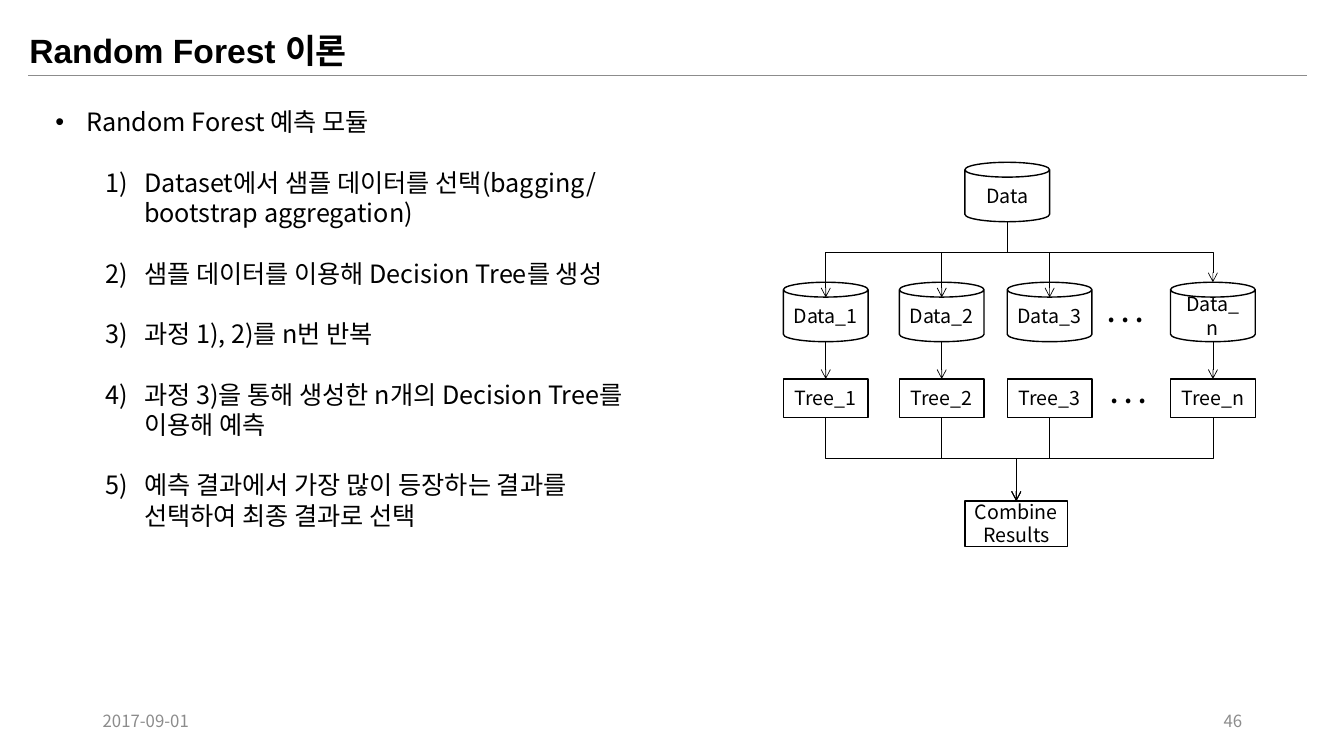
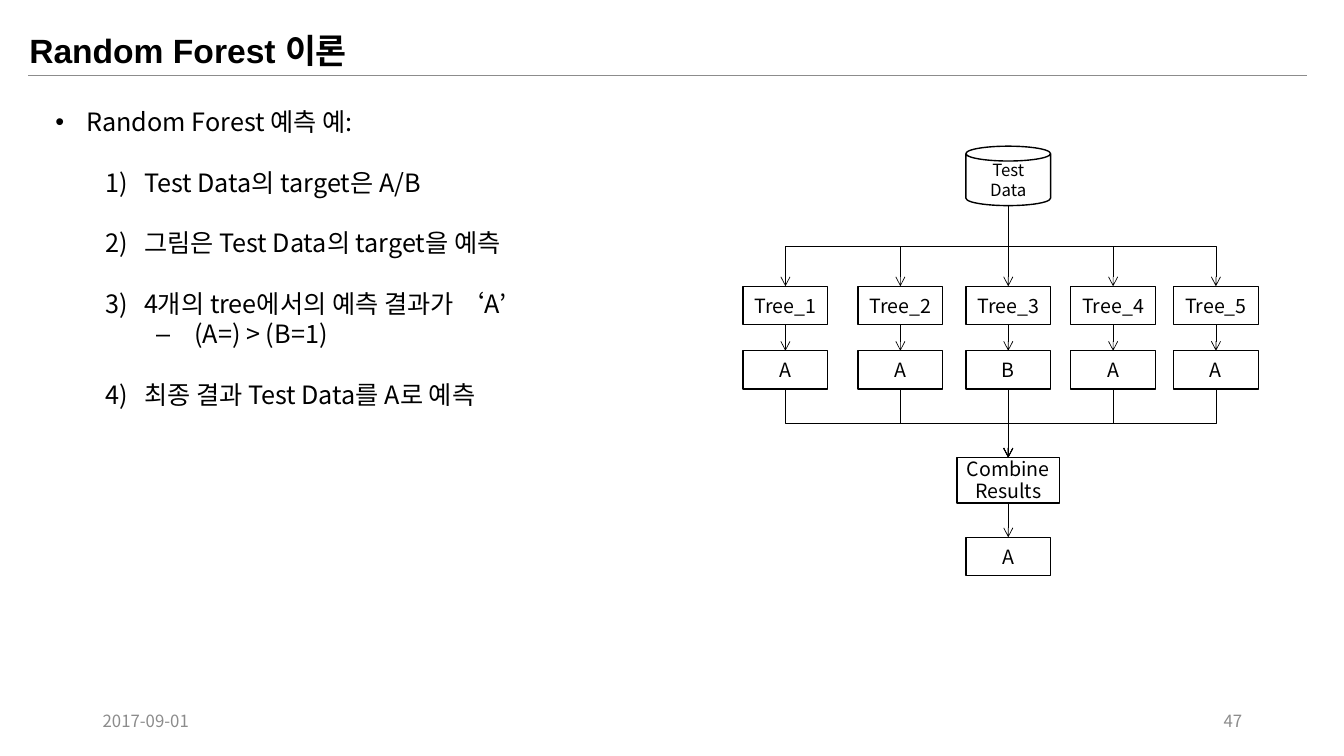
from lxml import etree
from pptx import Presentation
from pptx import util as u
from pptx.dml.color import RGBColor
from pptx.enum import shapes, text
from pptx.oxml.ns import qn

SCALE = 9144
BODY_FONT = "Noto Sans CJK KR"
TITLE_FONT = "Arial"
BLACK = "000000"
GRAY = "8C8C8C"
LINE_RATIO, TIGHT_RATIO = 1.2, 1.15
NODE_WIDTH, CAN_HEIGHT, BOX_HEIGHT = 84, 59, 38
COMBINE_WIDTH, COMBINE_HEIGHT = 102, 45


def px(length):
    return u.Emu(round(length * SCALE))


def colour(value):
    return RGBColor.from_string(value)


def child(parent, tag, **attributes):
    return etree.SubElement(parent, qn(tag), attributes)


class Deck:
    bullets = {
        0: (31, -31, "a:buChar", {"char": "•"}),
        1: (88, -38, "a:buAutoNum", {"type": "arabicParenR"}),
        2: (138, -38, "a:buChar", {"char": "–"}),
    }

    def __init__(self):
        self.presentation = Presentation()
        self.presentation.slide_width = px(1333)
        self.presentation.slide_height = px(750)
        self.slide = None

    def start(self, heading, number):
        layout = self.presentation.slide_layouts[5]
        self.slide = self.presentation.slides.add_slide(layout)
        title = self.slide.shapes.title
        title.left, title.top, title.width, title.height = map(px, (19, 25, 1300, 50))
        frame = title.text_frame
        frame.text = heading
        frame.auto_size = text.MSO_AUTO_SIZE.NONE
        frame.vertical_anchor = text.MSO_ANCHOR.TOP
        self.style(frame, 24, font=TITLE_FONT, bold=True)
        self.line((28, 75), (1296, 75), GRAY, arrow=False)
        self.footer(92, "2017-09-01", text.PP_ALIGN.LEFT)
        self.footer(942, number, text.PP_ALIGN.RIGHT)

    def style(self, frame, size, font=BODY_FONT, ink=BLACK, bold=False,
              align=text.PP_ALIGN.LEFT, ratio=LINE_RATIO):
        for paragraph in frame.paragraphs:
            paragraph.alignment = align
            paragraph.line_spacing = u.Pt(round(size * ratio, 1))
            for run in paragraph.runs:
                run.font.name = font
                run.font.size = u.Pt(size)
                run.font.bold = bold
                run.font.color.rgb = colour(ink)
                child(run._r.get_or_add_rPr(), "a:ea", typeface=BODY_FONT)

    def label(self, left, top, width, height, words, wrap=True):
        box = self.slide.shapes.add_textbox(px(left), px(top), px(width), px(height))
        box.text_frame.text = words
        box.text_frame.word_wrap = wrap
        return box.text_frame

    def footer(self, left, words, align):
        frame = self.label(left, 695, 300, 40, words)
        frame.vertical_anchor = text.MSO_ANCHOR.MIDDLE
        self.style(frame, 12, ink=GRAY, align=align)

    def ellipsis(self, left, top):
        self.style(self.label(left, top, 58, 40, ". . .", wrap=False), 18, bold=True)

    def outline(self, height, entries):
        frame = self.label(45, 101, 585, height, "\n".join(words for _, words in entries))
        self.style(frame, 18)
        for paragraph, (level, _) in zip(frame.paragraphs, entries):
            margin, indent, tag, mark = self.bullets[level]
            paragraph.level = level
            paragraph.space_before = u.Pt(21.6 if level == 1 else 0)
            properties = paragraph._p.get_or_add_pPr()
            properties.set("marL", str(px(margin)))
            properties.set("indent", str(px(indent)))
            if tag == "a:buChar":
                child(properties, "a:buFont", typeface=TITLE_FONT)
            child(properties, tag, **mark)

    def node(self, preset, left, top, width, height, words, size=14, ratio=LINE_RATIO):
        shape = self.slide.shapes.add_shape(
            preset, px(left), px(top), px(width), px(height))
        shape.shadow.inherit = False
        shape.fill.background()
        shape.line.color.rgb = colour(BLACK)
        shape.line.width = u.Pt(1)
        frame = shape.text_frame
        frame.text = words
        frame.word_wrap = True
        frame.vertical_anchor = text.MSO_ANCHOR.MIDDLE
        self.style(frame, size, align=text.PP_ALIGN.CENTER, ratio=ratio)
        return frame

    def can(self, left, top, words, size=14):
        self.node(shapes.MSO_SHAPE.CAN, left, top, NODE_WIDTH, CAN_HEIGHT, words, size)

    def box(self, left, top, words):
        self.node(shapes.MSO_SHAPE.RECTANGLE, left, top, NODE_WIDTH, BOX_HEIGHT, words)

    def combine(self, left, top):
        frame = self.node(shapes.MSO_SHAPE.RECTANGLE, left, top, COMBINE_WIDTH,
                          COMBINE_HEIGHT, "Combine\nResults", ratio=TIGHT_RATIO)
        frame.margin_left = frame.margin_right = px(2)
        frame.margin_top = frame.margin_bottom = 0

    def line(self, start, end, ink=BLACK, arrow=True, kind=shapes.MSO_CONNECTOR.STRAIGHT):
        connector = self.slide.shapes.add_connector(kind, *map(px, start + end))
        connector.line.color.rgb = colour(ink)
        connector.line.width = u.Pt(0.5)
        if arrow:
            child(connector.line._get_or_add_ln(), "a:tailEnd", type="arrow")
        child(connector._element.spPr, "a:effectLst")
        return connector

    def elbow(self, start, end, turn):
        (x1, y1), (x2, y2) = start, end
        if x1 == x2:
            self.line(start, end)
            return
        middle_x, middle_y = (x1 + x2) / 2, (y1 + y2) / 2
        rightward = x2 > x1
        half_drop = (y2 - y1) / 2 * (-1 if rightward else 1)
        half_run = abs(x2 - x1) / 2
        connector = self.line((middle_x - half_drop, middle_y - half_run),
                              (middle_x + half_drop, middle_y + half_run),
                              kind=shapes.MSO_CONNECTOR.ELBOW)
        properties = connector._element.spPr
        properties.xfrm.set("rot", str((270 if rightward else 90) * 60000))
        share = round((turn - y1) / (y2 - y1) * 100000)
        guides = properties.find(qn("a:prstGeom")).find(qn("a:avLst"))
        child(guides, "a:gd", name="adj1", fmla=f"val {share}")


def center(left):
    return left + NODE_WIDTH // 2


def theory(deck):
    deck.start("Random Forest 이론", "46")
    deck.outline(495, [
        (0, "Random Forest 예측 모듈"),
        (1, "Dataset에서 샘플 데이터를 선택(bagging/\vbootstrap aggregation)"),
        (1, "샘플 데이터를 이용해 Decision Tree를 생성"),
        (1, "과정 1), 2)를 n번 반복"),
        (1, "과정 3)을 통해 생성한 n개의 Decision Tree를 이용해 예측"),
        (1, "예측 결과에서 가장 많이 등장하는 결과를 선택하여 최종 결과로 선택"),
    ])
    source, sample_top, tree_top, combine_top = 957, 280, 376, 497
    deck.can(source, 161, "Data")
    deck.combine(source, combine_top)
    for left, suffix in ((777, "1"), (892, "2"), (999, "3"), (1161, "n")):
        x = center(left)
        deck.can(left, sample_top, f"Data_{suffix}")
        deck.box(left, tree_top, f"Tree_{suffix}")
        entry = sample_top if suffix == "n" else sample_top + 15
        deck.elbow((center(source), 161 + CAN_HEIGHT), (x, entry), 250)
        if suffix != "3":
            deck.line((x, sample_top + CAN_HEIGHT), (x, tree_top))
        deck.elbow((x, tree_top + BOX_HEIGHT),
                   (source + COMBINE_WIDTH // 2, combine_top), 455)
    deck.ellipsis(1089, 290)
    deck.ellipsis(1092, 370)


def example(deck):
    deck.start("Random Forest 이론", "47")
    deck.outline(313, [
        (0, "Random Forest 예측 예:"),
        (1, "Test Data의 target은 A/B"),
        (1, "그림은 Test Data의 target을 예측"),
        (1, "4개의 tree에서의 예측 결과가 ‘A’"),
        (2, "(A=) > (B=1)"),
        (1, "최종 결과 Test Data를 A로 예측"),
    ])
    source, source_top, tree_top, vote_top = 958, 145, 284, 348
    combine_top, result_top = 454, 533
    hub = center(source)
    deck.can(source, source_top, "Test\nData", size=12)
    deck.combine(hub - COMBINE_WIDTH // 2, combine_top)
    deck.box(source, result_top, "A")
    deck.line((hub, combine_top + COMBINE_HEIGHT), (hub, result_top))
    for number, (left, vote) in enumerate(zip((737, 851, 958, 1062, 1164), "AABAA"), 1):
        x = center(left)
        deck.box(left, tree_top, f"Tree_{number}")
        deck.box(left, vote_top, vote)
        deck.elbow((hub, source_top + CAN_HEIGHT), (x, tree_top), 244)
        deck.line((x, tree_top + BOX_HEIGHT), (x, vote_top))
        deck.elbow((x, vote_top + BOX_HEIGHT), (hub, combine_top), 420)


def main():
    deck = Deck()
    theory(deck)
    example(deck)
    deck.presentation.save("out.pptx")


if __name__ == "__main__":
    main()
